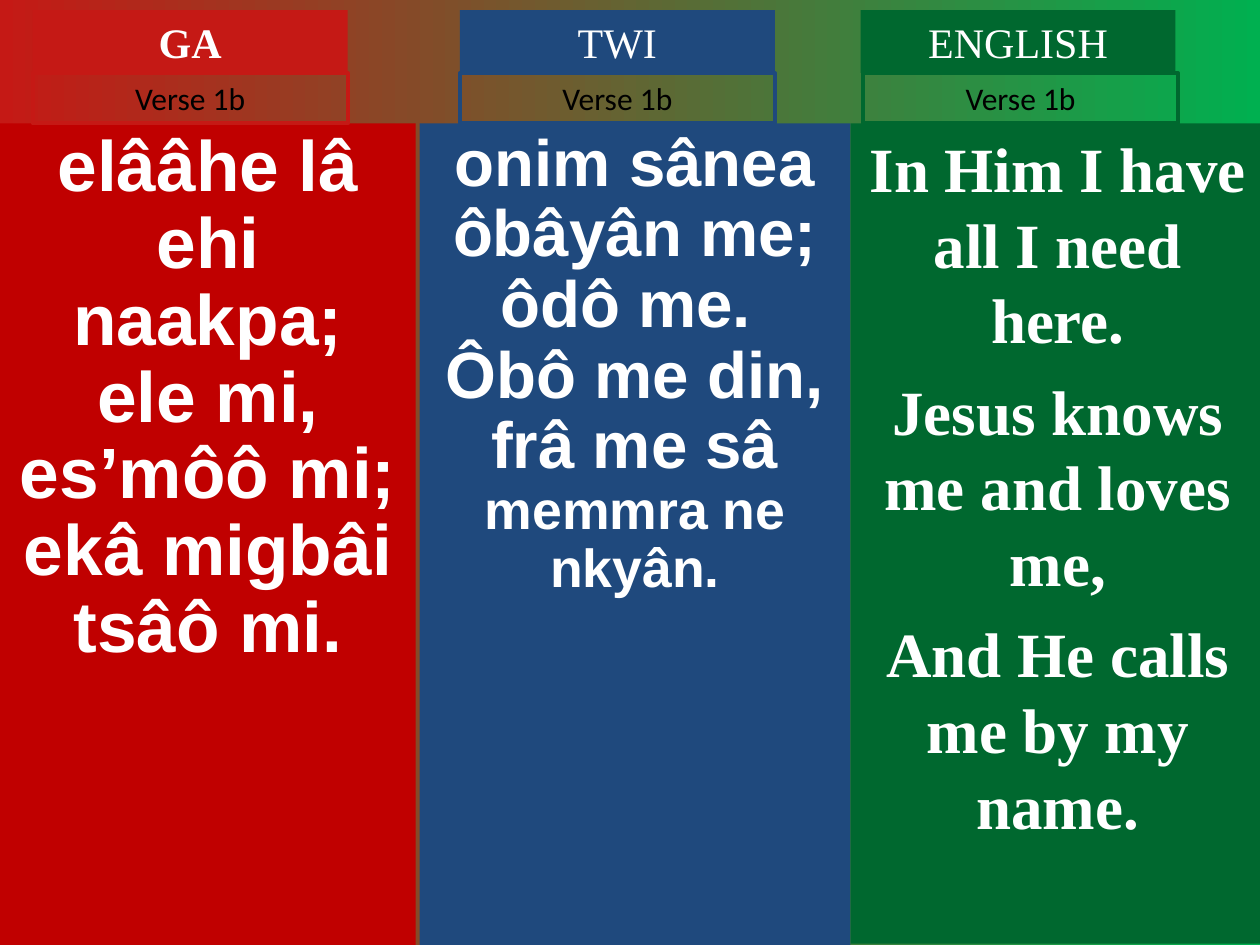
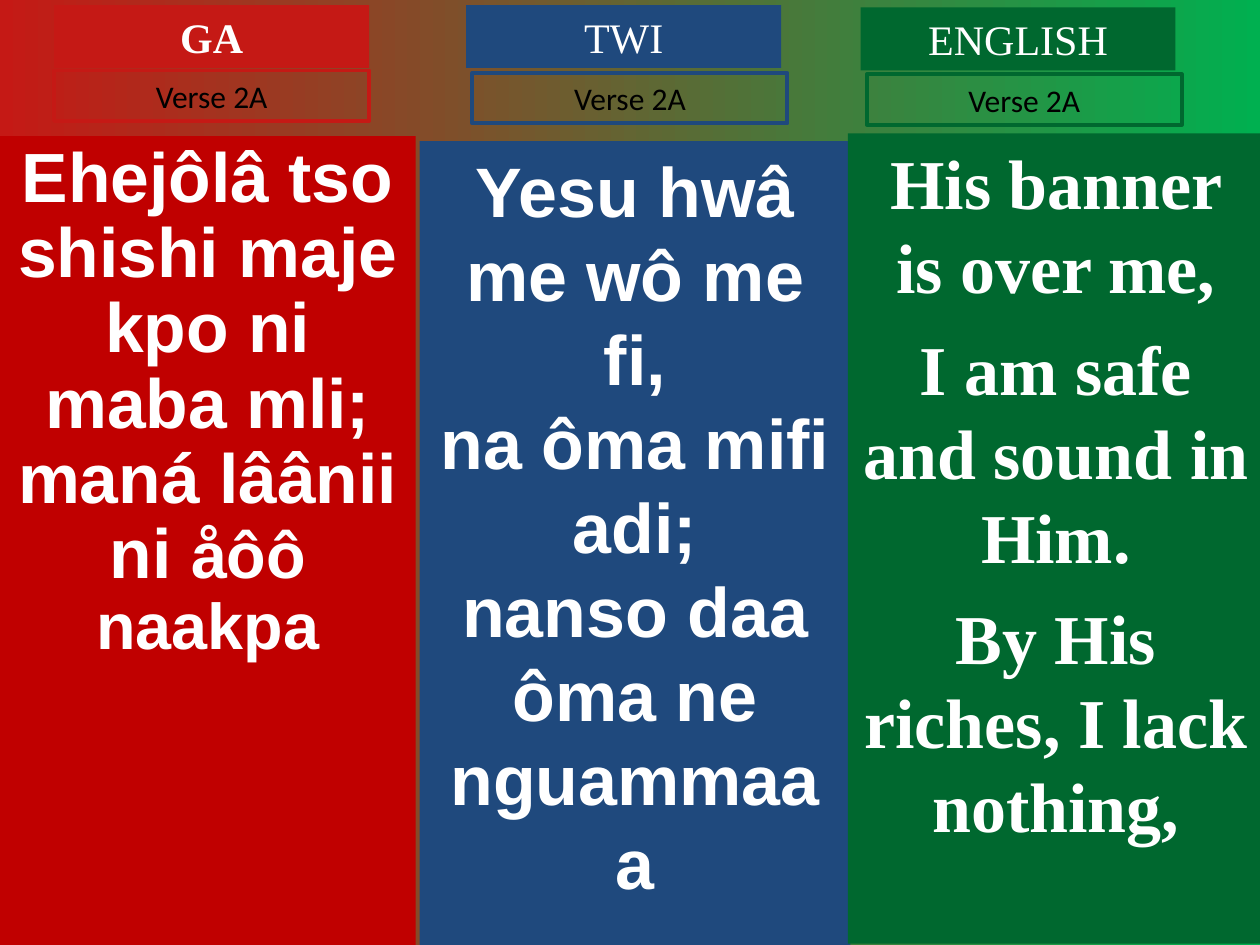
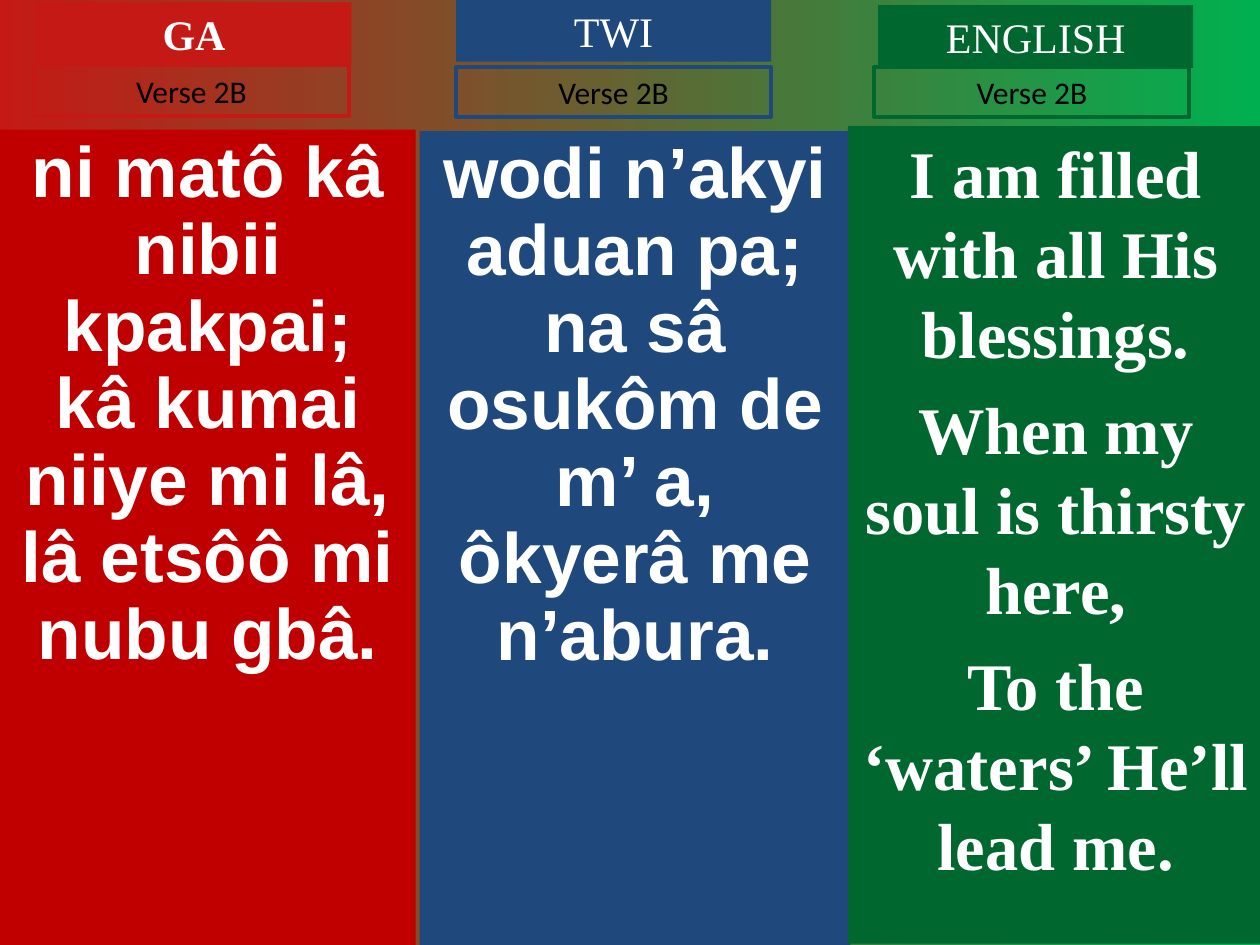
from pptx import Presentation
from pptx.dml.color import RGBColor
from pptx.enum.shapes import MSO_SHAPE
from pptx.enum.text import MSO_ANCHOR, PP_ALIGN
from pptx.util import Inches, Pt

COLOURS = {
    "ga_head": "C51915", "ga_panel": "C00000", "twi": "1F497D", "english": "00682F",
    "sky_end": "00B050", "lyric": "FFFFFF", "verse": "000000",
}

LANGUAGES = {
    "GA": {"head": "ga_head", "panel": "ga_panel", "font": "Arial", "bold_head": True},
    "TWI": {"head": "twi", "panel": "twi", "font": "Arial", "bold_head": False},
    "ENGLISH": {"head": "english", "panel": "english", "font": "Times New Roman",
                "bold_head": False},
}

VERSES = [
    ("Verse 1b", {
        "GA": {"head": (0.26, 0.08), "verse": (0.26, 0.58), "panel": (0, 0.98, 3.3, 6.52),
               "size": 40.7, "spacing": 0.9,
               "lines": ["elââhe lâ ehi naakpa;", "ele mi, es’môô mi;",
                         "ekâ migbâi tsâô mi."]},
        "TWI": {"head": (3.65, 0.08), "verse": (3.65, 0.58), "panel": (3.33, 0.98, 3.42, 6.52),
                "size": 37.4, "spacing": 0.9,
                "lines": ["onim sânea ôbâyân me;", "ôdô me. ", "Ôbô me din,",
                          [("frâ me sâ ", 37.4), ("memmra ne nkyân.", 30.6)]]},
        "ENGLISH": {"head": (6.83, 0.08), "verse": (6.85, 0.58),
                    "panel": (6.75, 0.98, 3.29, 6.51), "size": 36, "before": 9,
                    "lines": ["In Him I have all I need here.", "Jesus knows me and loves me,",
                              "And He calls me by my name."]},
    }),
    ("Verse 2A", {
        "GA": {"head": (0.43, 0.04), "verse": (0.43, 0.56), "panel": (0, 1.08, 3.3, 6.42),
               "size": 39.8, "spacing": 0.9,
               "lines": ["Ehejôlâ tso shishi maje kpo ni maba mli;",
                         [("maná lâânii ni ", 39.8), ("åôô naakpa", 37)]]},
        "TWI": {"head": (3.7, 0.04), "verse": (3.75, 0.58), "panel": (3.33, 1.12, 3.42, 6.38),
                "size": 40,
                "lines": ["Yesu hwâ me wô me fi,", "na ôma mifi adi;",
                          "nanso daa ôma ne nguammaa a"]},
        "ENGLISH": {"head": (6.83, 0.06), "verse": (6.88, 0.59),
                    "panel": (6.73, 1.06, 3.3, 6.43), "size": 40, "before": 10,
                    "lines": ["His banner is over me,", "I am safe and sound in Him.",
                              "By His riches, I lack nothing,"]},
    }),
    ("Verse 2B", {
        "GA": {"head": (0.29, 0.02), "verse": (0.27, 0.52), "panel": (0, 1.03, 3.3, 6.47),
               "size": 40.7, "spacing": 0.9,
               "lines": ["ni matô kâ nibii kpakpai;", "kâ kumai niiye mi lâ,",
                         "lâ etsôô mi nubu gbâ."]},
        "TWI": {"head": (3.62, -0.01), "verse": (3.62, 0.53), "panel": (3.33, 1.04, 3.42, 6.46),
                "size": 40.7, "spacing": 0.9,
                "lines": ["wodi n’akyi aduan pa;", "na sâ osukôm de m’ a,",
                          "ôkyerâ me n’abura."]},
        "ENGLISH": {"head": (6.97, 0.04), "verse": (6.94, 0.53),
                    "panel": (6.73, 1, 3.3, 6.49), "size": 38, "before": 9.5,
                    "lines": ["I am filled with all His blessings.",
                              "When my soul is thirsty here,",
                              "To the ‘waters’ He’ll lead me."]},
    }),
]

HEAD_SIZE = (2.5, 0.5)
VERSE_SIZE = (2.5, 0.4)


def rgb(name):
    return RGBColor.from_string(COLOURS[name])


def add_box(slide, place, fill=None, outline=None, anchor=MSO_ANCHOR.MIDDLE):
    box = slide.shapes.add_shape(MSO_SHAPE.RECTANGLE, *map(Inches, place))
    box.shadow.inherit = False
    if fill:
        box.fill.solid()
        box.fill.fore_color.rgb = rgb(fill)
    else:
        box.fill.background()
    if outline:
        box.line.color.rgb = rgb(outline)
        box.line.width = Pt(2.25)
    else:
        box.line.fill.background()
    box.text_frame.word_wrap = True
    box.text_frame.vertical_anchor = anchor
    return box.text_frame


def write(frame, lines, font, size, colour, bold=False, spacing=None, before=None):
    for index, line in enumerate(lines):
        paragraph = frame.add_paragraph() if index else frame.paragraphs[0]
        paragraph.alignment = PP_ALIGN.CENTER
        paragraph.line_spacing = spacing
        if index and before:
            paragraph.space_before = Pt(before)
        paragraph.font.name = font
        paragraph.font.bold = bold
        paragraph.font.color.rgb = rgb(colour)
        if isinstance(line, str):
            paragraph.font.size = Pt(size)
            paragraph.add_run().text = line
            continue
        for words, run_size in line:
            run = paragraph.add_run()
            run.text = words
            run.font.size = Pt(run_size)


def add_column(slide, verse, language, column):
    style = LANGUAGES[language]
    panel = add_box(slide, column["panel"], fill=style["panel"], anchor=MSO_ANCHOR.TOP)
    write(panel, column["lines"], style["font"], column["size"], "lyric", True,
          column.get("spacing"), column.get("before"))
    head = add_box(slide, column["head"] + HEAD_SIZE, fill=style["head"])
    write(head, [language], "Times New Roman", 24, "lyric", style["bold_head"])
    label = add_box(slide, column["verse"] + VERSE_SIZE, outline=style["head"])
    write(label, [verse], "Calibri", 18, "verse")


def main():
    deck = Presentation()
    deck.slide_width, deck.slide_height = Inches(10), Inches(7.5)
    backdrop = deck.slide_master.background.fill
    backdrop.gradient()
    backdrop.gradient_angle = 0
    for stop, colour in zip(backdrop.gradient_stops, ("ga_head", "sky_end")):
        stop.color.rgb = rgb(colour)
    for verse, columns in VERSES:
        slide = deck.slides.add_slide(deck.slide_layouts[6])
        for language, column in columns.items():
            add_column(slide, verse, language, column)
    deck.save("out.pptx")


if __name__ == "__main__":
    main()
